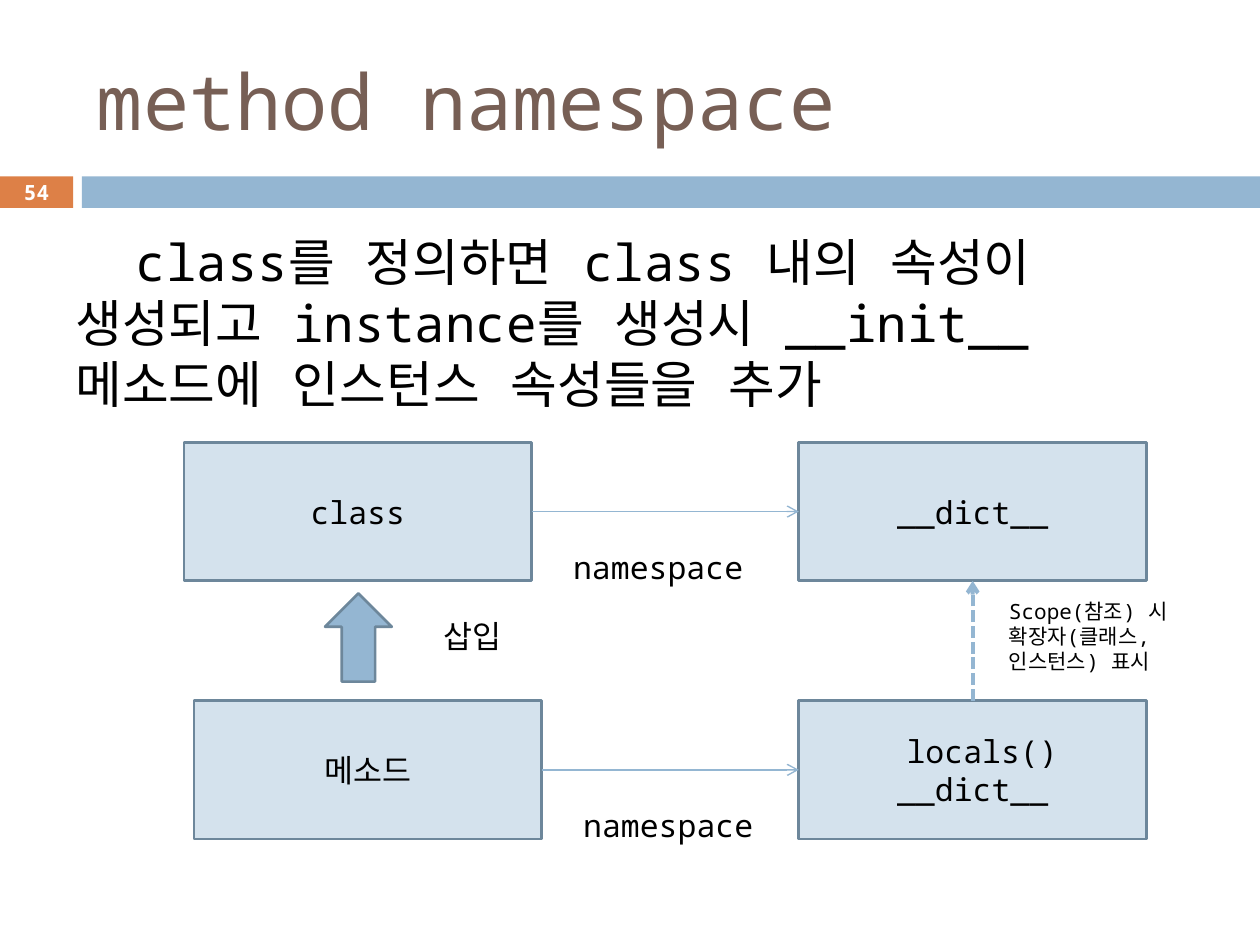
from dataclasses import dataclass
from typing import Any

from lxml import etree
from pptx import Presentation
from pptx import util as u
from pptx.dml.color import RGBColor
from pptx.enum import dml, shapes, text
from pptx.oxml import ns

COLORS = {
    "title": "775F55", "text": "000000", "white": "FFFFFF",
    "accent": "DD8047", "blue": "94B6D2", "pale": "D4E2ED", "edge": "6D879B",
}


def color(name):
    return RGBColor.from_string(COLORS[name])


def write(shape, content, size=18, ink="text", bold=False, align="LEFT",
          anchor="TOP", indent=0):
    """Fill a shape with one paragraph per line of content."""
    frame = shape.text_frame
    frame.word_wrap = True
    frame.vertical_anchor = getattr(text.MSO_ANCHOR, anchor)
    for number, line in enumerate(content.split("\n")):
        para = frame.add_paragraph() if number else frame.paragraphs[0]
        para.alignment = getattr(text.PP_ALIGN, align)
        if indent:
            para._p.get_or_add_pPr().set("indent", str(u.Inches(indent)))
        span = para.add_run()
        span.text = line
        font = span.font
        font.size, font.bold, font.name = u.Pt(size), bold, "Noto Sans Mono"
        font.color.rgb = color(ink)
        east_asian = etree.SubElement(span._r.get_or_add_rPr(), ns.qn("a:ea"))
        east_asian.set("typeface", font.name)


@dataclass
class Painter:
    page: Any
    edge_width: float = 1.5

    def shape(self, kind, left, top, width, height, fill, edge=None):
        shape = self.page.shapes.add_shape(
            kind, *map(u.Inches, (left, top, width, height)))
        shape.shadow.inherit = False
        shape.fill.solid()
        shape.fill.fore_color.rgb = color(fill)
        if edge:
            shape.line.color.rgb = color(edge)
            shape.line.width = u.Pt(self.edge_width)
        else:
            shape.line.fill.background()
        return shape

    def bar(self, left, width, fill):
        return self.shape(shapes.MSO_SHAPE.RECTANGLE, left, 1.4, width, 0.25, fill)

    def box(self, left, top, label):
        box = self.shape(shapes.MSO_SHAPE.RECTANGLE, left, top, 2.76, 1.1,
                         "pale", "edge")
        write(box, label, align="CENTER", anchor="MIDDLE")
        return box

    def label(self, left, top, width, height, content, **style):
        label = self.page.shapes.add_textbox(
            *map(u.Inches, (left, top, width, height)))
        write(label, content, **style)

    def arrow(self, start, start_side, end, end_side, width=0.79, dash=None):
        line = self.page.shapes.add_connector(shapes.MSO_CONNECTOR.STRAIGHT, 0, 0, 0, 0)
        line.begin_connect(start, start_side)
        line.end_connect(end, end_side)
        line.line.color.rgb = color("blue")
        line.line.width = u.Pt(width)
        if dash:
            line.line.dash_style = dash
        tail = etree.SubElement(line.line._get_or_add_ln(), ns.qn("a:tailEnd"))
        tail.set("type", "arrow")
        etree.SubElement(line._element.spPr, ns.qn("a:effectLst"))


def main():
    deck = Presentation()
    deck.slide_width, deck.slide_height = u.Inches(10), u.Inches(7.5)
    painter = Painter(deck.slides.add_slide(deck.slide_layouts[6]))

    # Header band with page number
    number = painter.bar(0, 0.58, "accent")
    number.text_frame.margin_top = number.text_frame.margin_bottom = 0
    write(number, "54", size=12, ink="white", bold=True, align="CENTER",
          anchor="MIDDLE")
    painter.bar(0.65, 9.35, "blue")

    # Title and explanation
    painter.label(0.67, 0.25, 8.92, 1.08, "method namespace", size=44,
                  ink="title", anchor="MIDDLE")
    painter.label(0.5, 1.78, 9, 1.81,
                  "class를 정의하면 class 내의 속성이 생성되고 instance를 생성시 "
                  "__init__메소드에 인스턴스 속성들을 추가", size=29, indent=0.48)

    # Each row: an owner, its namespace and the arrow between them
    targets = []
    for left, top, owner, namespace in (
            (1.46, 3.51, "class", "__dict__"),
            (1.54, 5.56, "메소드", " locals()\n__dict__")):
        source = painter.box(left, top, owner)
        target = painter.box(6.34, top, namespace)
        painter.arrow(source, 3, target, 1)
        painter.label(left + 2.99, top + 0.79, 1.57, 0.4, "namespace")
        targets.append(target)

    # Links between the rows
    class_dict, method_dict = targets
    painter.arrow(method_dict, 0, class_dict, 2, width=2.25,
                  dash=dml.MSO_LINE.SQUARE_DOT)
    painter.label(7.91, 4.7, 1.73, 0.71,
                  "Scope(참조) 시 확장자(클래스, 인스턴스) 표시", size=12)
    painter.shape(shapes.MSO_SHAPE.UP_ARROW, 2.58, 4.71, 0.53, 0.7, "blue", "edge")
    painter.label(3.42, 4.85, 0.87, 0.4, "삽입")

    deck.save("out.pptx")


if __name__ == "__main__":
    main()
